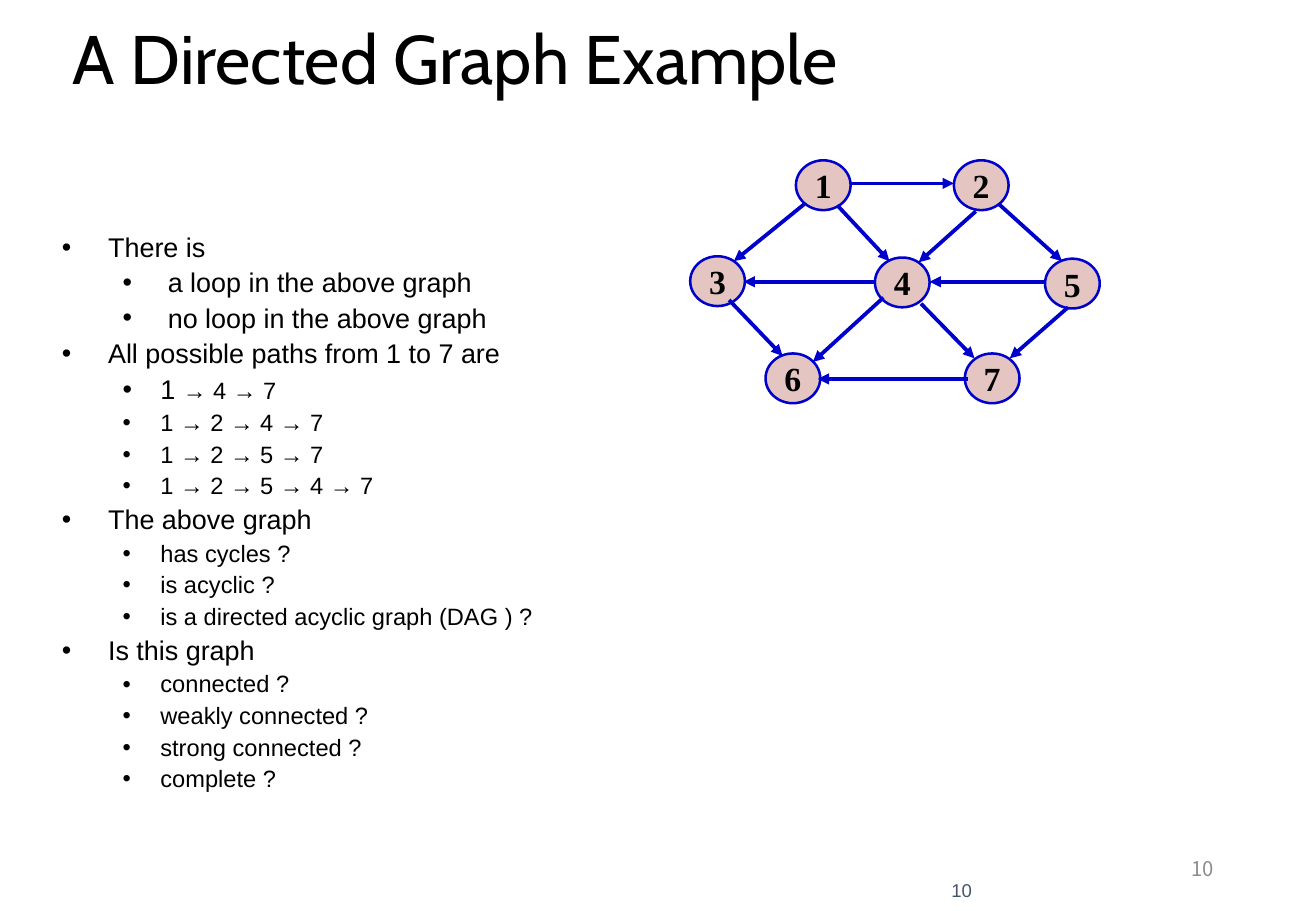
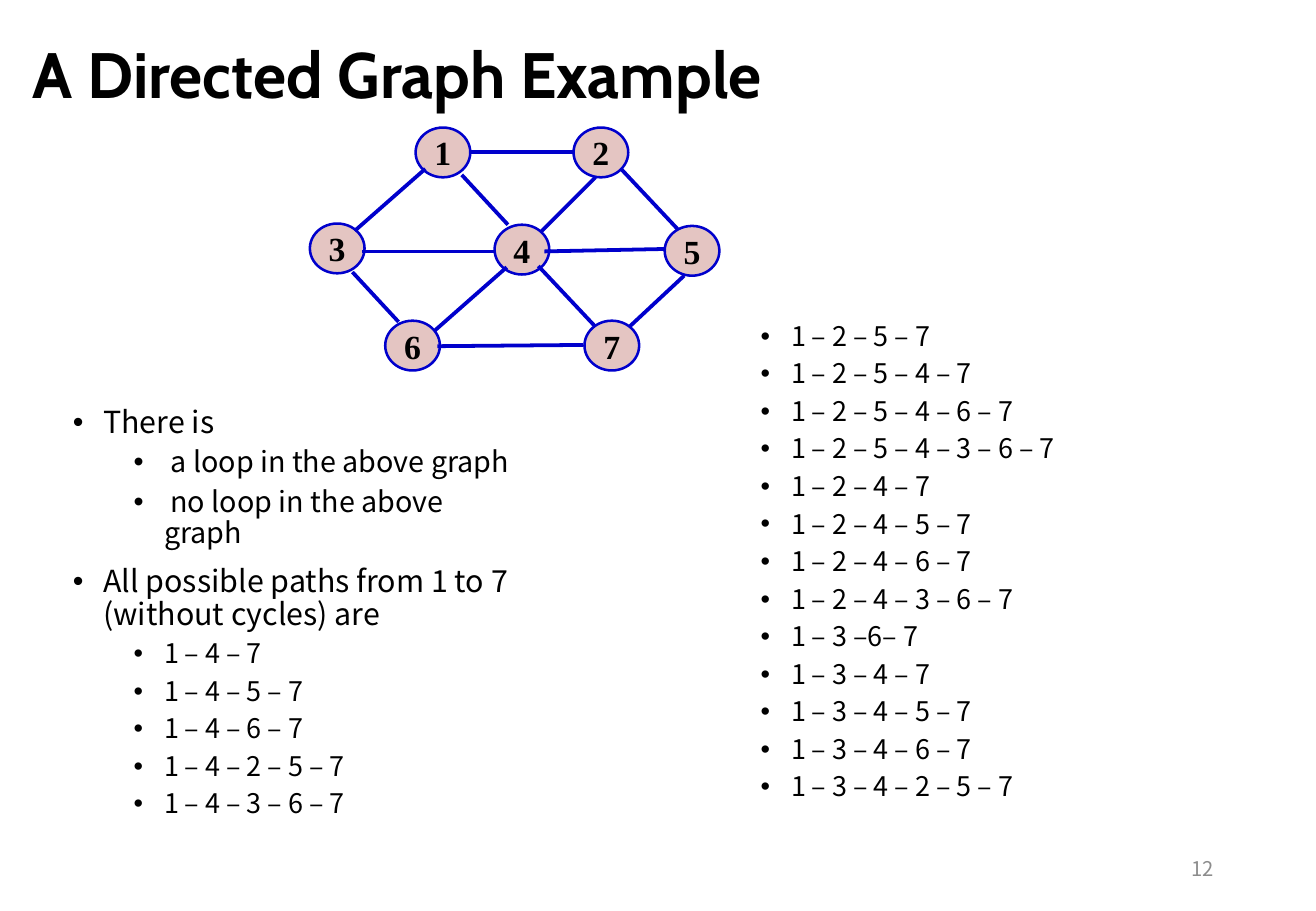
import pptx
import pptx.util
import pptx.dml.color
import pptx.enum.shapes
import pptx.enum.text
import pptx.oxml.ns
from lxml import etree
from pptx.util import Inches, Pt

RGBColor = pptx.dml.color.RGBColor
BLACK = RGBColor(0x00, 0x00, 0x00)
GRAY = RGBColor(0x8C, 0x8C, 0x8C)
SLATE = RGBColor(0x44, 0x54, 0x6A)
BLUE = RGBColor(0x00, 0x00, 0xCC)
PINK = RGBColor(0xE4, 0xC5, 0xC2)
TITLE_FONT = "Cabin"
BODY_FONT = "Noto Sans CJK SC"
PLAIN_FONT = "Arial"
NODE_FONT = "Times New Roman"
TITLE = "A Directed Graph Example"
ALIGN = pptx.enum.text.PP_ALIGN
ANCHOR = pptx.enum.text.MSO_ANCHOR
qn = pptx.oxml.ns.qn


def write_text(shape, box, paragraphs, font, color=BLACK, bold=False,
               alignment=ALIGN.LEFT, anchor=ANCHOR.TOP, margins=(0.1, 0.05)):
    shape.left, shape.top, shape.width, shape.height = map(Inches, box)
    frame = shape.text_frame
    frame.text = "\n".join(text for size, text in paragraphs)
    frame.word_wrap = True
    frame.auto_size = pptx.enum.text.MSO_AUTO_SIZE.NONE
    frame.vertical_anchor = anchor
    frame.margin_left = frame.margin_right = Inches(margins[0])
    frame.margin_top = frame.margin_bottom = Inches(margins[1])
    for paragraph, (size, text) in zip(frame.paragraphs, paragraphs):
        paragraph.alignment = alignment
        for run in paragraph.runs:
            run.font.name = font
            run.font.size = Pt(size)
            run.font.bold = bold
            run.font.color.rgb = color


def write_list(shape, box, items, font, indents, spacing):
    write_text(shape, box, [item[1:] for item in items], font)
    for paragraph, (level, size, text) in zip(shape.text_frame.paragraphs, items):
        paragraph.level = level
        paragraph.line_spacing = 0.9
        paragraph.space_before = Pt(spacing[level])
        margin, hanging = indents[level]
        properties = paragraph._p.get_or_add_pPr()
        properties.set("marL", str(Inches(margin)))
        properties.set("indent", str(-Inches(hanging)))
        etree.SubElement(properties, qn("a:buFont")).set("typeface", PLAIN_FONT)
        etree.SubElement(properties, qn("a:buChar")).set("char", "•")


presentation = pptx.Presentation()
presentation.slide_width = Inches(10.83)
presentation.slide_height = Inches(7.5)

directed_slide = presentation.slides.add_slide(presentation.slide_layouts[1])
write_text(directed_slide.shapes.title, (0.5, 0.19, 7.92, 0.68), [(40.7, TITLE)],
           TITLE_FONT, anchor=ANCHOR.MIDDLE)
directed_slide.shapes.title.text_frame.paragraphs[0].line_spacing = 0.8

directed_items = [
    (0, 16, "There is"),
    (1, 16, " a loop in the above graph"),
    (1, 16, " no loop in the above graph"),
    (0, 16, "All possible paths from 1 to 7 are"),
    (1, 16, "1 "),
    (1, 14, "1 → 2 → 4 → 7"),
    (1, 14, "1 → 2 → 5 → 7"),
    (1, 14, "1 → 2 → 5 → 4 → 7"),
    (0, 16, "The above graph"),
    (1, 14, "has cycles ?"),
    (1, 14, "is acyclic ?"),
    (1, 14, "is a directed acyclic graph (DAG ) ?"),
    (0, 16, "Is this graph"),
    (1, 14, "connected ?"),
    (1, 14, "weakly connected ?"),
    (1, 14, "strong connected ?"),
    (1, 14, "complete ?"),
]
directed_body = directed_slide.placeholders[1]
write_list(directed_body, (0.41, 1.88, 7.42, 4.33), directed_items, PLAIN_FONT,
           [(0.38, 0.38), (0.81, 0.31)], (4, 3.6))
path_run = directed_body.text_frame.paragraphs[4].add_run()
path_run.text = "→ 4 → 7"
path_run.font.name = PLAIN_FONT
path_run.font.size = Pt(14)
path_run.font.color.rgb = BLACK

write_text(directed_slide.shapes.add_textbox(0, 0, 0, 0), (7.36, 7.17, 0.64, 0.25),
           [(11, "10")], PLAIN_FONT, SLATE, alignment=ALIGN.RIGHT,
           anchor=ANCHOR.BOTTOM, margins=(0, 0))

undirected_slide = presentation.slides.add_slide(presentation.slide_layouts[3])
write_text(undirected_slide.shapes.title, (0.22, 0.24, 7.92, 0.68), [(38, TITLE)],
           TITLE_FONT, bold=True, anchor=ANCHOR.BOTTOM, margins=(0.05, 0))

left_items = [
    (0, 18, "There is"),
    (1, 17, " a loop in the above graph"),
    (1, 17, " no loop in the above graph"),
    (0, 18, "All possible paths from 1 to 7 (without cycles) are"),
]
left_paths = ["1 – 4 – 7", "1 – 4 – 5 – 7", "1 – 4 – 6 – 7",
              "1 – 4 – 2 – 5 – 7", "1 – 4 – 3 – 6 – 7"]
right_paths = [
    "1 – 2 – 5 – 7", "1 – 2 – 5 – 4 – 7", "1 – 2 – 5 – 4 – 6 – 7",
    "1 – 2 – 5 – 4 – 3 – 6 – 7", "1 – 2 – 4 – 7", "1 – 2 – 4 – 5 – 7",
    "1 – 2 – 4 – 6 – 7", "1 – 2 – 4 – 3 – 6 – 7", "1 – 3 –6– 7",
    "1 – 3 – 4 – 7", "1 – 3 – 4 – 5 – 7", "1 – 3 – 4 – 6 – 7",
    "1 – 3 – 4 – 2 – 5 – 7",
]
columns = [
    (1, (0.5, 3.3, 3.88, 4.25), left_items + [(1, 16, path) for path in left_paths]),
    (2, (5.66, 2.61, 3.88, 4.32), [(1, 16, path) for path in right_paths]),
]
for index, box, items in columns:
    write_list(undirected_slide.placeholders[index], box, items, BODY_FONT,
               [(0.25, 0.25), (0.75, 0.25)], (10, 5))

nodes = {
    "1": (6.55, 1.32), "2": (7.85, 1.32), "3": (5.68, 2.11), "4": (7.2, 2.12),
    "5": (8.6, 2.13), "6": (6.3, 2.91), "7": (7.94, 2.91),
}
directed_edges = [
    (6.62, 1.68, 6.04, 2.15), (7, 1.51, 7.85, 1.51), (6.89, 1.69, 7.32, 2.15),
    (7.27, 2.45, 6.69, 2.98), (7.58, 2.5, 8.02, 2.95), (8.03, 1.74, 7.56, 2.16),
    (7.97, 3.12, 6.73, 3.12), (6, 2.47, 6.44, 2.93), (8.22, 1.68, 8.74, 2.15),
    (8.79, 2.53, 8.31, 2.95), (8.61, 2.32, 7.65, 2.32), (7.2, 2.32, 6.12, 2.32),
]
undirected_edges = [
    (3.88, 1.25, 4.73, 1.25), (2.98, 2.07, 4.08, 2.07), (4.48, 2.07, 5.48, 2.05),
    (3.6, 2.85, 4.8, 2.84), (2.92, 1.9, 3.5, 1.39), (3.58, 2.72, 4.17, 2.2),
    (5.18, 2.69, 5.63, 2.27), (4.45, 1.91, 4.9, 1.46), (3.28, 2.65, 2.9, 2.24),
    (4.9, 2.69, 4.43, 2.19), (5.58, 1.89, 5.11, 1.39), (4.18, 1.85, 3.8, 1.44),
]
graphs = [
    (directed_slide, "10", 0, 0, directed_edges, True),
    (undirected_slide, "12", -3.13, -0.27, undirected_edges, False),
]
for slide, number, shift_x, shift_y, edges, directed in graphs:
    write_text(slide.shapes.add_textbox(0, 0, 0, 0), (7.65, 6.95, 2.44, 0.4),
               [(12, number)], BODY_FONT, GRAY, alignment=ALIGN.RIGHT,
               anchor=ANCHOR.MIDDLE)
    for label, (left, top) in nodes.items():
        node = slide.shapes.add_shape(pptx.enum.shapes.MSO_SHAPE.OVAL, 0, 0, 0, 0)
        write_text(node, (left + shift_x, top + shift_y, 0.45, 0.41), [(20, label)],
                   NODE_FONT, bold=True, alignment=ALIGN.CENTER, anchor=ANCHOR.MIDDLE)
        node.text_frame.word_wrap = False
        node.shadow.inherit = False
        node.fill.solid()
        node.fill.fore_color.rgb = PINK
        node.line.color.rgb = BLUE
        node.line.width = Pt(1.5)
    for edge in edges:
        connector = slide.shapes.add_connector(
            pptx.enum.shapes.MSO_CONNECTOR.STRAIGHT, *map(Inches, edge))
        connector.line.color.rgb = BLUE
        connector.line.width = Pt(2.25)
        if directed:
            line = connector.line._get_or_add_ln()
            etree.SubElement(line, qn("a:tailEnd")).set("type", "triangle")
        etree.SubElement(connector._element.spPr, qn("a:effectLst"))

presentation.save("out.pptx")
